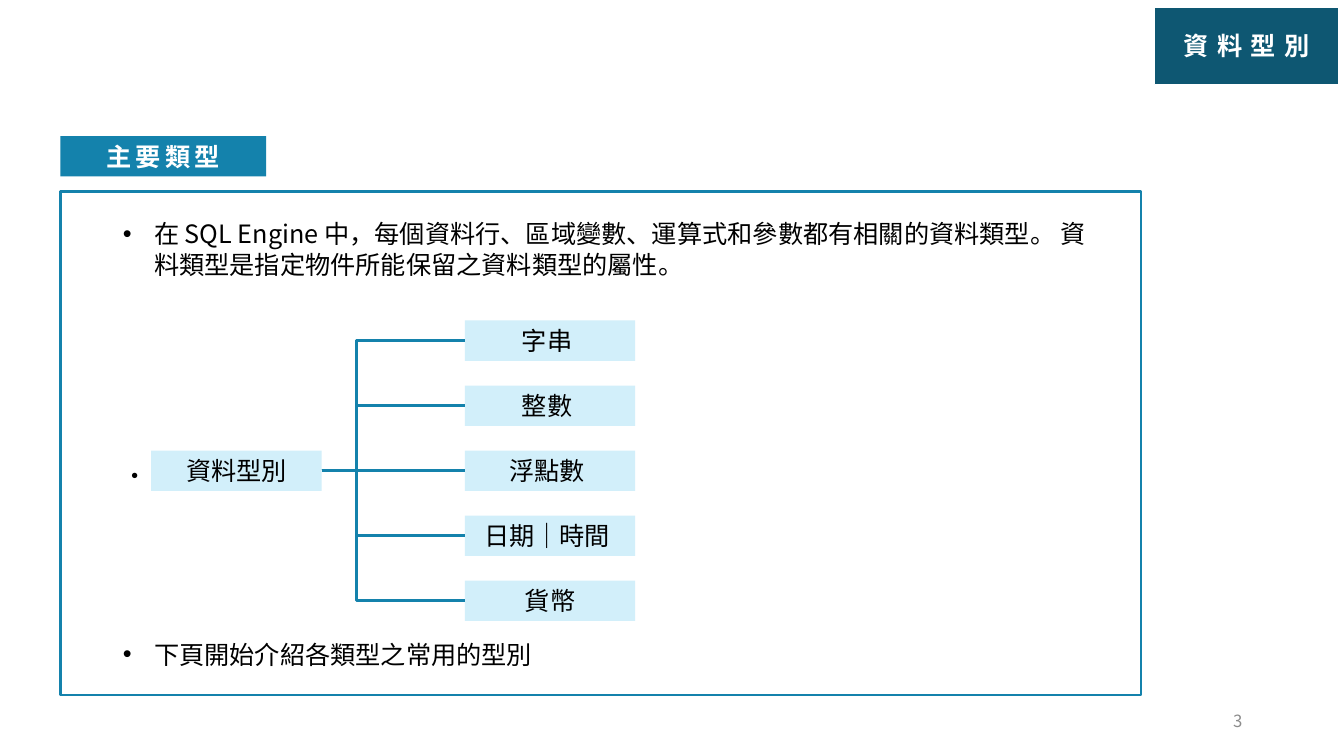
from dataclasses import dataclass
from typing import Optional

from pptx import Presentation
from pptx.dml.color import RGBColor
from pptx.enum.shapes import MSO_CONNECTOR as Conn, MSO_SHAPE as Shape
from pptx.enum.text import MSO_ANCHOR as Anchor, PP_ALIGN as Align
from pptx.oxml.ns import qn
from pptx.util import Inches, Pt
from lxml.etree import SubElement


@dataclass(frozen=True)
class Theme:
    font: str = "Noto Sans CJK TC"
    body: float = 18
    small: float = 12
    navy: str = "0E5772"
    blue: str = "1482AC"
    pale: str = "D2EFFA"
    white: str = "FFFFFF"
    black: str = "000000"
    gray: str = "8C8C8C"


T = Theme()


@dataclass(frozen=True)
class Box:
    left: float
    top: float
    width: float
    height: float
    text: str = ""
    fill: Optional[str] = None
    line: Optional[str] = None
    line_width: float = 1
    color: str = T.black
    size: float = T.body
    bold: bool = False
    spacing: float = 0
    align: Align = Align.CENTER
    anchor: Anchor = Anchor.MIDDLE
    bullet: bool = False

    @property
    def right(self) -> float:
        return self.left + self.width

    @property
    def middle(self) -> float:
        return self.top + self.height / 2


def write_text(tf, box: Box) -> None:
    tf.word_wrap = True
    tf.vertical_anchor = box.anchor
    p = tf.paragraphs[0]
    p.text = box.text
    p.alignment = box.align
    if box.bullet:
        props = p._p.get_or_add_pPr()
        props.set("marL", str(Inches(0.31)))
        props.set("indent", str(-Inches(0.31)))
        SubElement(props, qn("a:buFont"), typeface="Arial")
        SubElement(props, qn("a:buChar"), char="•")
    font = p.font
    font.size = Pt(box.size)
    font.bold = box.bold
    font.color.rgb = RGBColor.from_string(box.color)
    font.name = T.font
    SubElement(font._element, qn("a:ea"), typeface=T.font)
    if box.spacing:
        font._element.set("spc", str(int(box.spacing * 100)))


def add_box(s, box: Box) -> None:
    """Draw a rectangle, or a plain text box when there is no fill or line."""
    at = [Inches(v) for v in (box.left, box.top, box.width, box.height)]
    if not (box.fill or box.line):
        write_text(s.shapes.add_textbox(*at).text_frame, box)
        return
    sp = s.shapes.add_shape(Shape.RECTANGLE, *at)
    sp.shadow.inherit = False
    if box.fill:
        sp.fill.solid()
        sp.fill.fore_color.rgb = RGBColor.from_string(box.fill)
    else:
        sp.fill.background()
    if box.line:
        sp.line.color.rgb = RGBColor.from_string(box.line)
        sp.line.width = Pt(box.line_width)
    else:
        sp.line.fill.background()
    if box.text:
        write_text(sp.text_frame, box)


def add_branch(s, root: Box, leaf: Box) -> None:
    """Join root to leaf, bending at the trunk shared by all branches."""
    straight = abs(root.middle - leaf.middle) < 0.01
    kind = Conn.STRAIGHT if straight else Conn.ELBOW
    cx = s.shapes.add_connector(kind, Inches(root.right), Inches(root.middle),
                                Inches(leaf.left), Inches(leaf.middle))
    cx.line.color.rgb = RGBColor.from_string(T.blue)
    cx.line.width = Pt(2.25)
    props = cx._element.spPr
    SubElement(props, qn("a:effectLst"))
    if not straight:
        guides = props.find(qn("a:prstGeom")).find(qn("a:avLst"))
        SubElement(guides, qn("a:gd"), name="adj1", fmla="val 24200")


PANELS = [
    Box(11.45, 0.07, 1.83, 0.77, "資料型別", fill=T.navy, line=T.white,
        color=T.white, bold=True, spacing=6),
    Box(0.6, 1.35, 2.04, 0.4, "主要類型", fill=T.blue,
        color=T.white, bold=True, spacing=3),
    Box(0.6, 1.9, 10.72, 5, line=T.blue, line_width=1.5),
]
NOTES = [
    Box(1.12, 2.12, 9.8, 0.75,
        "在 SQL Engine 中，每個資料行、區域變數、運算式和參數都有相關的資料類型。 "
        "資料類型是指定物件所能保留之資料類型的屬性。",
        align=Align.LEFT, anchor=Anchor.TOP, bullet=True),
    Box(1.12, 4.52, 0.4, 0.4, "•", align=Align.LEFT),
    Box(1.12, 6.29, 4.3, 0.4, "下頁開始介紹各類型之常用的型別",
        align=Align.LEFT, bullet=True),
]
PAGE_NUMBER = Box(9.42, 6.95, 3, 0.4, "3", color=T.gray, size=T.small,
                  align=Align.RIGHT)

LEAF_TOP, LEAF_PITCH = 3.18, 0.645
LEAF_NAMES = ["字串 ", "整數 ", "浮點數 ", "日期｜時間 ", "貨幣"]
LEAVES = [Box(4.61, LEAF_TOP + i * LEAF_PITCH, 1.69, 0.4, name, fill=T.pale)
          for i, name in enumerate(LEAF_NAMES)]
ROOT = Box(1.5, LEAVES[2].top, 1.69, 0.4, "資料型別", fill=T.pale)


def main() -> None:
    prs = Presentation()
    prs.slide_width, prs.slide_height = Inches(13.33), Inches(7.5)
    s = prs.slides.add_slide(prs.slide_layouts[6])
    for box in [*PANELS, *NOTES, ROOT, *LEAVES, PAGE_NUMBER]:
        add_box(s, box)
    for leaf in LEAVES:
        add_branch(s, ROOT, leaf)
    prs.save("out.pptx")


if __name__ == "__main__":
    main()
